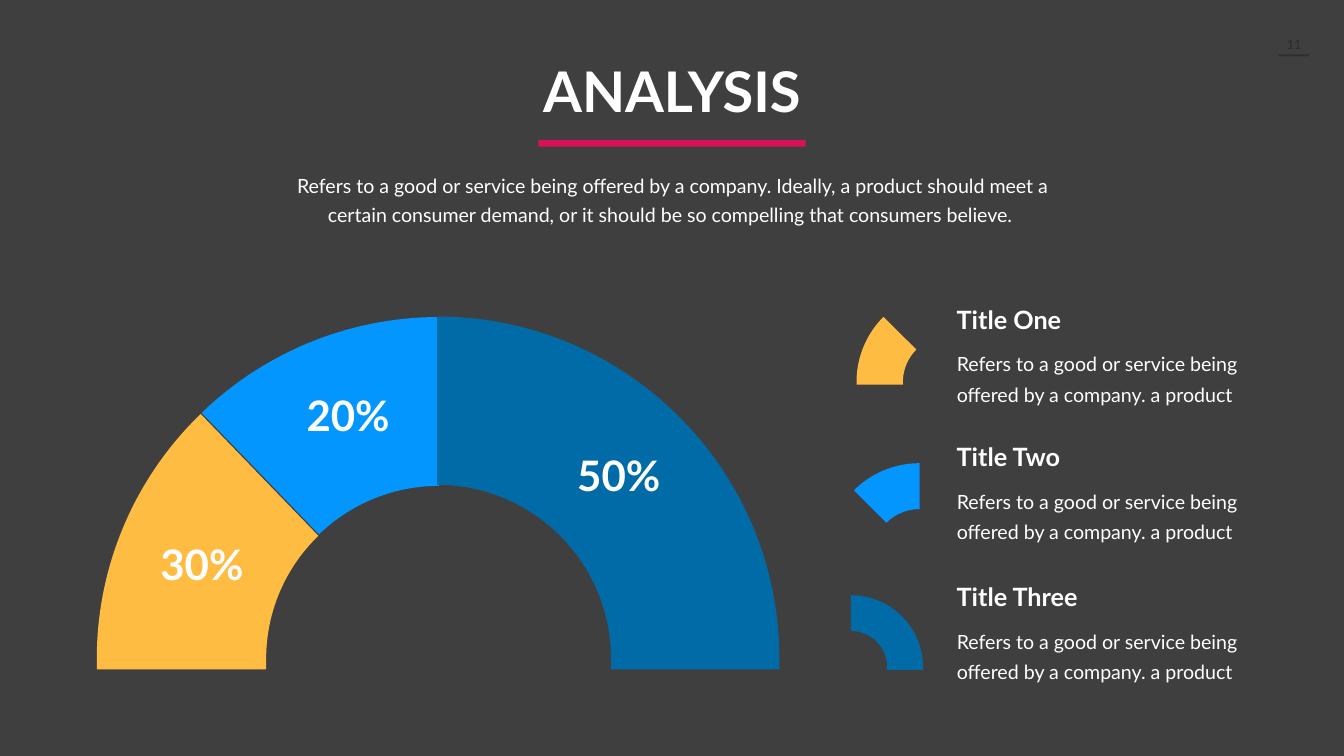
import math

from pptx import Presentation
from pptx import util as u
from pptx.dml.color import RGBColor
from pptx.enum import shapes, text
from pptx.oxml import xmlchemy

PX = 9144
FONT = "Lato"
COLORS = {
    "background": "3F3F3F",
    "page": "2F2F2F",
    "accent": "D81159",
    "text": "FFFFFF",
    "yellow": "FFBC42",
    "light": "0496FF",
    "dark": "006BA6",
}
LEFT, CENTER = text.PP_ALIGN.LEFT, text.PP_ALIGN.CENTER


class Deck:
    def __init__(self, width, height):
        self.prs = Presentation()
        self.prs.slide_width = u.Emu(width * PX)
        self.prs.slide_height = u.Emu(height * PX)
        self.slide = None

    def add_slide(self):
        self.slide = self.prs.slides.add_slide(self.prs.slide_layouts[6])
        self.fill(self.slide.background.fill, "background")

    def fill(self, fill, color):
        fill.solid()
        fill.fore_color.rgb = RGBColor.from_string(COLORS[color])

    def paint(self, shape, color):
        self.fill(shape.fill, color)
        shape.line.fill.background()
        shape.shadow.inherit = False

    def bar(self, left, top, width, height, color):
        box = [u.Emu(v * PX) for v in (left, top, width, height)]
        rectangle = shapes.MSO_SHAPE.RECTANGLE
        self.paint(self.slide.shapes.add_shape(rectangle, *box), color)

    def label(self, left, top, width, height, words, size, bold=True,
              align=LEFT, color="text", spacing=None, inset=10):
        box = [u.Emu(v * PX) for v in (left, top, width, height)]
        frame = self.slide.shapes.add_textbox(*box).text_frame
        frame.word_wrap = True
        frame.auto_size = text.MSO_AUTO_SIZE.SHAPE_TO_FIT_TEXT
        frame.margin_left = frame.margin_right = u.Emu(inset * PX)
        frame.margin_top = frame.margin_bottom = u.Emu(inset * PX // 2)
        paragraph = frame.paragraphs[0]
        paragraph.alignment = align
        if spacing:
            paragraph.line_spacing = u.Pt(spacing)
        run = paragraph.add_run()
        run.text = words
        run.font.name = FONT
        run.font.size = u.Pt(size)
        run.font.bold = bold
        run.font.color.rgb = RGBColor.from_string(COLORS[color])

    def wedge(self, tree, center, inner, outer, start, end, foot, color):
        def point(radius, angle, along=0, drop=0):
            turn = math.radians(angle)
            x = radius * (math.cos(turn) - along * math.sin(turn))
            y = radius * (math.sin(turn) + along * math.cos(turn))
            return (center[0] + x) * PX, (center[1] - y + drop) * PX

        def arc(radius, first, last):
            pull = 4 / 3 * math.tan(math.radians(last - first) / 4)
            return [point(radius, first, pull), point(radius, last, -pull),
                    point(radius, last)]

        def step(radius, angle, drop=0):
            return [point(radius, angle, drop=drop)]

        segments = [arc(outer, start, end)]
        if end == 180:
            segments += [step(outer, end, foot), step(inner, end, foot)]
        segments += [step(inner, end), arc(inner, end, start)]
        if start == 0:
            segments += [step(inner, start, foot), step(outer, start, foot)]

        builder = tree.build_freeform(*point(outer, start), scale=1.0)
        builder.add_line_segments(sum(segments, []), close=True)
        ring = builder.convert_to_shape()
        lines = iter(ring._element.xpath(".//a:lnTo"))
        for segment in segments:
            sides = [next(lines) for _ in segment]
            if len(sides) == 3:
                curve = xmlchemy.OxmlElement("a:cubicBezTo")
                sides[0].addprevious(curve)
                for side in sides:
                    curve.append(side[0])
                    side.getparent().remove(side)
        self.paint(ring, color)


def main():
    deck = Deck(2666, 1500)
    deck.add_slide()

    deck.label(2517, 68, 100, 40, "11", 18, align=CENTER, color="page")
    deck.bar(2537, 108, 60, 4, "page")
    deck.label(570, 331, 1528, 123,
               "Refers to a good or service being offered by a company. "
               "Ideally, a product should meet a certain consumer demand, "
               "or it should be so compelling that consumers believe. ",
               28, bold=False, align=CENTER, spacing=40.7)
    deck.bar(1068, 278, 530, 13, "accent")
    deck.label(999, 108, 668, 144, "ANALYSIS", 80, align=CENTER)

    gauge = deck.slide.shapes.add_group_shape().shapes
    shares = [
        ("20%", 537, 767, (871, 1307), 343, 678, 90, 134, "light"),
        ("30%", 247, 1064, (867, 1307), 339, 675, 134, 180, "yellow"),
        ("50%", 1074, 886, (867, 1307), 345, 679, 0, 90, "dark"),
    ]
    for _, _, _, center, inner, outer, start, end, color in shares:
        deck.wedge(gauge, center, inner, outer, start, end, 21, color)

    legend = [
        ("Title One", 598, (1882, 758), 91, 183, 135, 180, "yellow"),
        ("Title Two", 871, (1824, 1103), 93, 184, 90, 135, "light"),
        ("Title Three", 1148, (1688, 1324), 72, 143, 0, 90, "dark"),
    ]
    for title, top, center, inner, outer, start, end, color in legend:
        deck.wedge(deck.slide.shapes, center, inner, outer, start, end, 5, color)
        deck.label(1874, top + 76, 623, 143,
                   "Refers to a good or service being offered by a company. "
                   "a product", 28, bold=False, spacing=43, inset=24)
        deck.label(1888, top, 514, 70, title, 36)

    for share, left, top, *_ in shares:
        deck.label(left, top, 307, 110, share, 60, align=CENTER)

    deck.prs.save("out.pptx")


if __name__ == "__main__":
    main()
